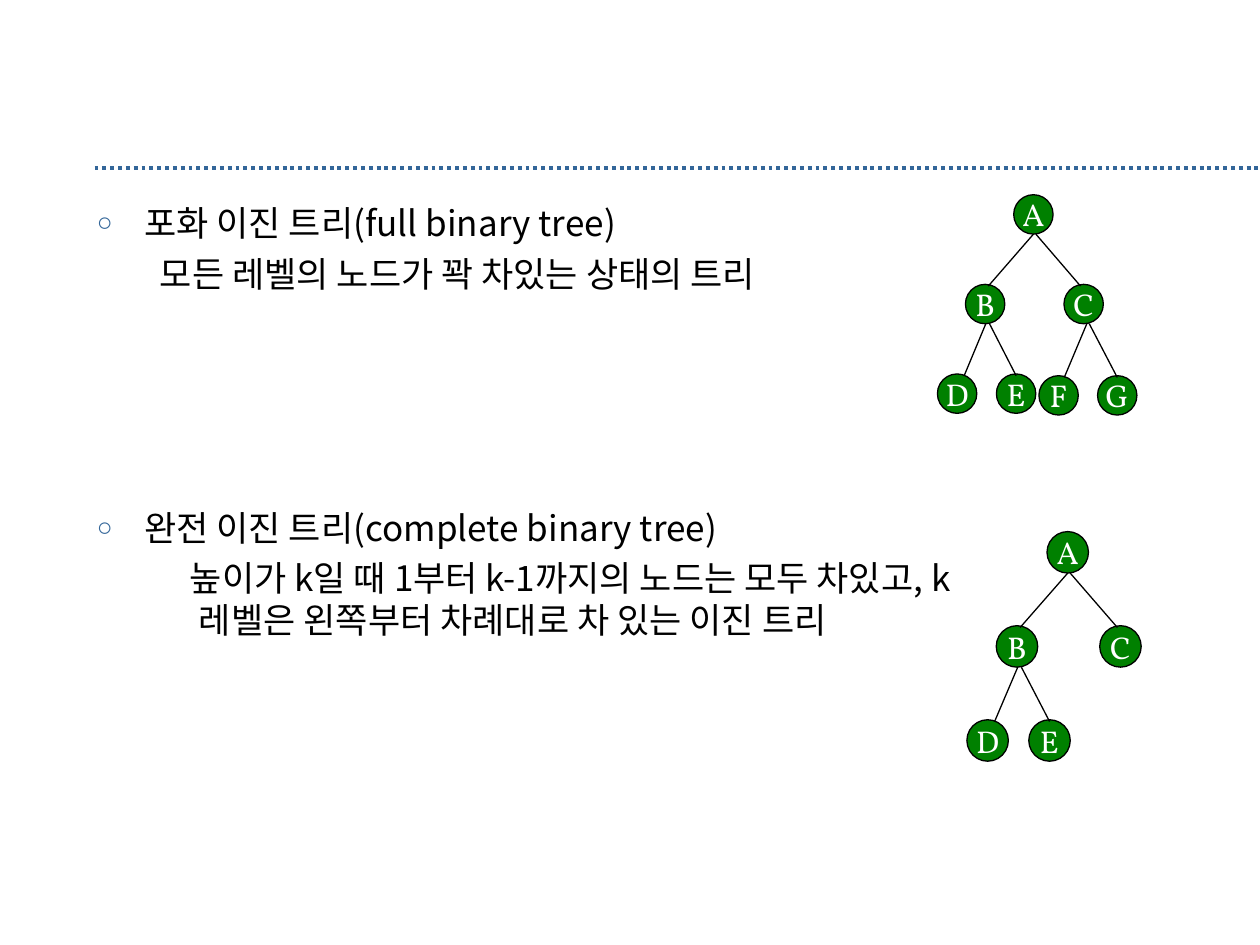
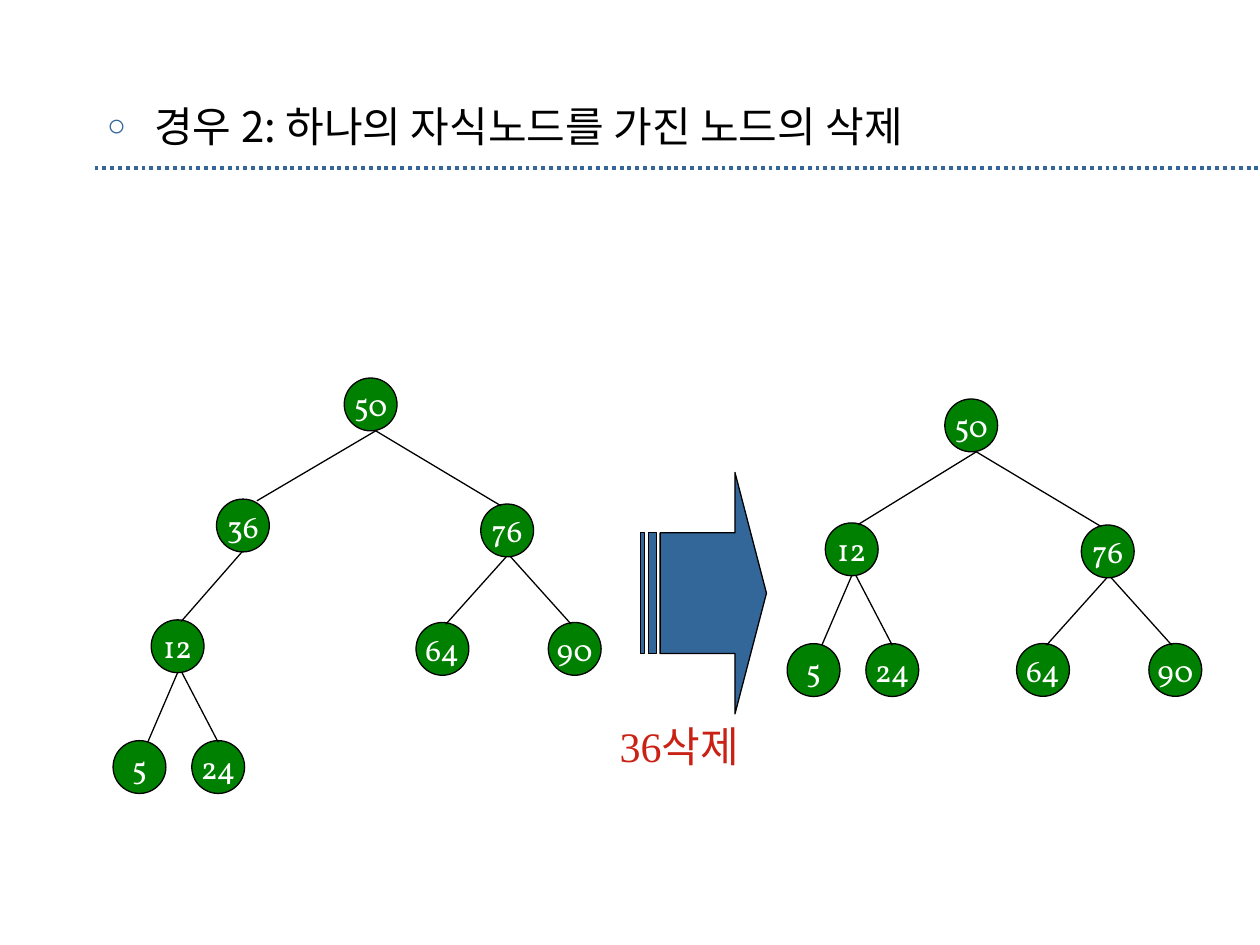
from dataclasses import dataclass, replace
from lxml import etree
from pptx import Presentation
from pptx.dml.color import RGBColor
from pptx.enum import dml, shapes, text
from pptx.oxml import ns
from pptx.util import Pt


@dataclass(frozen=True)
class Theme:
    blue: str = "336699"
    green: str = "008000"
    red: str = "C92215"
    black: str = "000000"
    white: str = "FFFFFF"
    body_font: str = "Noto Sans CJK KR"
    node_font: str = "Vollkorn"
    caption_font: str = "Times New Roman"
    node_size: float = 18
    body_size: float = 20
    heading_size: float = 24
    hairline: float = 0.75
    rule_width: float = 2.25


@dataclass(frozen=True)
class Node:
    label: str
    dx: float = 0
    dy: float = 0
    edge_start: float = 0
    edge_end: float = 0
    children: tuple = ()


THEME = Theme()
EDGE_SINK = 1

BULLET = {"margin": 27, "indent": -27, "bullet": "○"}
DETAIL = {"margin": 58.3, "indent": -22.3, "before": 5, "level": 1}
TREE_KINDS = [
    ("포화 이진 트리(full binary tree)", BULLET),
    ("모든 레벨의 노드가 꽉 차있는 상태의 트리", DETAIL),
    ("완전 이진 트리(complete binary tree)", {**BULLET, "before": 121}),
    ("높이가 k일 때 1부터 k-1까지의 노드는 모두 차있고, k레벨은 왼쪽부터 차례대로 차 있는 이진 트리",
     {**DETAIL, "indent": -5.2}),
]
DELETE_CASE = [("경우 2: 하나의 자식노드를 가진 노드의 삭제", BULLET)]

NODE_B = Node("B", -27.6, 51.2, 0, 1.8, (
    Node("D", -16, 51.2, 0.4, 4), Node("E", 17.7, 51.2, 2.5, 0)))
NODE_C = Node("C", 28.7, 51.2, 1.4, -1.8)
FULL_C = replace(NODE_C, children=(
    Node("F", -14.3, 52.2, 1.8, 3.2), Node("G", 19.2, 52.2, 3.2, 0)))
FULL_TREE = Node("A", children=(NODE_B, FULL_C))
COMPLETE_TREE = Node("A", children=(NODE_B, NODE_C))

NODE_12 = Node("12", -37.3, 69, -0.5, 2, (
    Node("5", -21.8, 69, 0, 4.7), Node("24", 23.2, 69, 2.5, 0)))
NODE_36 = Node("36", -73, 69.2, 2.9, 8, (NODE_12,))
NODE_76 = Node("76", 78, 72, 2.9, -3.6, (
    Node("64", -37, 67.7, -0.5, 2), Node("90", 38.6, 67.7, 2, -2)))
BEFORE_TREE = Node("50", children=(NODE_36, NODE_76))
MOVED_12 = replace(NODE_12, dx=-68.3, dy=70.8, edge_start=2.9, edge_end=3.6)
AFTER_TREE = Node("50", children=(MOVED_12, NODE_76))

SLIDES = [
    {"body": TREE_KINDS, "box": (48.2, 111.6, 504.7, 324),
     "size": THEME.body_size,
     "trees": [(COMPLETE_TREE, 598.3, 303.8, 23.7, 1.05),
               (FULL_TREE, 579.3, 111.3, 22.5, 1)]},
    {"body": DELETE_CASE, "box": (54, 54, 612, 426),
     "size": THEME.heading_size,
     "trees": [(BEFORE_TREE, 196.7, 216, 30.2, 1),
               (AFTER_TREE, 539.9, 228, 30.2, 1)],
     "arrow": (366, 270, 72, 138),
     "caption": ("36삭제", (347, 408.2, 88, 36))},
]


def apply(target, values):
    for name, value in values.items():
        setattr(target, name, value)


def color(value):
    return RGBColor.from_string(value)


def add_span(para, words, size, font, ink):
    span = para.add_run()
    span.text = words
    span.font.color.rgb = color(ink)
    apply(span.font, {"size": Pt(size), "name": font})
    for properties in para._p.iter(ns.qn("a:rPr")):
        properties.set("kern", "0")
        etree.SubElement(properties, ns.qn("a:ea"), typeface=THEME.body_font)


def set_bullet(para, form):
    properties = para._p.get_or_add_pPr()
    properties.set("marL", str(Pt(form["margin"])))
    properties.set("indent", str(Pt(form["indent"])))
    if "bullet" not in form:
        etree.SubElement(properties, ns.qn("a:buNone"))
        return
    ink = etree.SubElement(properties, ns.qn("a:buClr"))
    etree.SubElement(ink, ns.qn("a:srgbClr"), val=THEME.blue)
    etree.SubElement(properties, ns.qn("a:buSzPct"), val="75000")
    etree.SubElement(properties, ns.qn("a:buChar"), char=form["bullet"])


def add_line(page, start, end, ink, width):
    line = page.shapes.add_connector(
        shapes.MSO_CONNECTOR.STRAIGHT, *map(Pt, start + end))
    line.line.color.rgb = color(ink)
    line.line.width = Pt(width)
    etree.SubElement(line.element.spPr, ns.qn("a:effectLst"))
    return line


def add_filled(page, kind, place, fill):
    shape = page.shapes.add_shape(kind, *map(Pt, place))
    shape.shadow.inherit = False
    shape.fill.solid()
    shape.fill.fore_color.rgb = color(fill)
    shape.line.color.rgb = color(THEME.black)
    shape.line.width = Pt(THEME.hairline)
    return shape


def draw_tree(page, node, left, top, diameter, scale):
    circle = add_filled(page, shapes.MSO_SHAPE.OVAL,
                        (left, top, diameter, diameter), THEME.green)
    apply(circle.text_frame, {"word_wrap": False,
                              "vertical_anchor": text.MSO_ANCHOR.MIDDLE})
    para = circle.text_frame.paragraphs[0]
    para.alignment = text.PP_ALIGN.CENTER
    add_span(para, node.label, THEME.node_size, THEME.node_font, THEME.white)
    middle = left + diameter / 2
    for child in node.children:
        across, down = child.dx * scale, child.dy * scale
        draw_tree(page, child, left + across, top + down, diameter, scale)
        add_line(page, (middle + child.edge_start, top + diameter),
                 (middle + across + child.edge_end, top + down + EDGE_SINK),
                 THEME.black, THEME.hairline)


def write_body(page, content):
    box = page.placeholders[1]
    apply(box, dict(zip(("left", "top", "width", "height"),
                        map(Pt, content["box"]))))
    frame = box.text_frame
    apply(frame, {"word_wrap": True, "auto_size": text.MSO_AUTO_SIZE.NONE,
                  "vertical_anchor": text.MSO_ANCHOR.TOP})
    for index, (words, form) in enumerate(content["body"]):
        para = frame.add_paragraph() if index else frame.paragraphs[0]
        set_bullet(para, form)
        apply(para, {"level": form.get("level", 0),
                     "space_before": Pt(form.get("before", 0)),
                     "line_spacing": 1.0})
        add_span(para, words, content["size"], THEME.body_font, THEME.black)


def draw_deletion(page, content):
    arrow = add_filled(page, shapes.MSO_SHAPE.STRIPED_RIGHT_ARROW,
                       content["arrow"], THEME.blue)
    arrow.adjustments[0] = 0.5
    arrow.adjustments[1] = 0.25
    words, place = content["caption"]
    box = page.shapes.add_textbox(*map(Pt, place))
    apply(box.text_frame, {"word_wrap": False,
                           "auto_size": text.MSO_AUTO_SIZE.SHAPE_TO_FIT_TEXT})
    add_span(box.text_frame.paragraphs[0], words, THEME.heading_size,
             THEME.caption_font, THEME.red)


def add_layout_rule(page):
    rule = add_line(page, (54, 96), (720, 96), THEME.blue, THEME.rule_width)
    rule.line.dash_style = dml.MSO_LINE.ROUND_DOT
    page.slide_layout.shapes.element.append(rule.element)


def main():
    deck = Presentation()
    apply(deck, {"slide_width": Pt(720), "slide_height": Pt(540)})
    layout = deck.slide_layouts[1]
    for index, content in enumerate(SLIDES):
        page = deck.slides.add_slide(layout)
        if index == 0:
            add_layout_rule(page)
        title = page.shapes.title.element
        title.getparent().remove(title)
        write_body(page, content)
        for tree in content["trees"]:
            draw_tree(page, *tree)
        if "arrow" in content:
            draw_deletion(page, content)
    deck.save("out.pptx")


if __name__ == "__main__":
    main()
